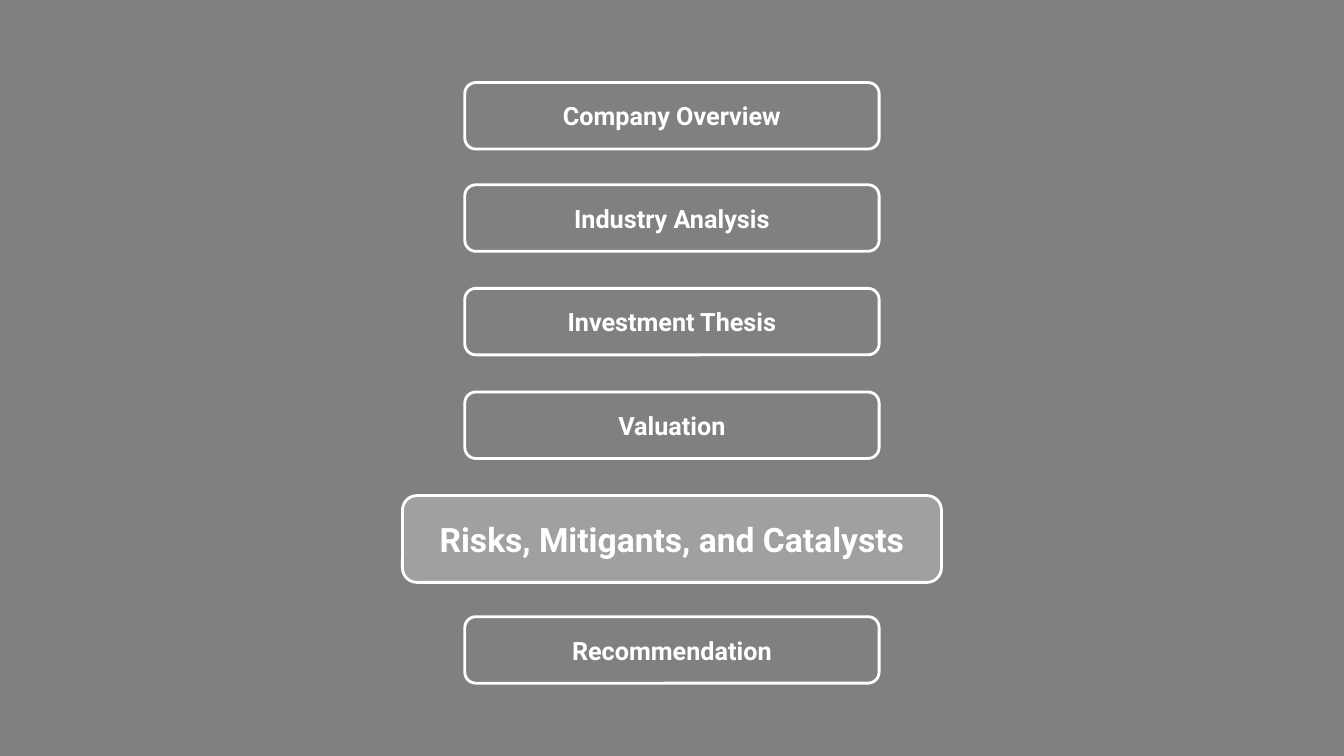
from lxml import etree
from pptx import Presentation
from pptx.dml.color import RGBColor
from pptx.enum.shapes import MSO_SHAPE as SHAPE
from pptx.enum.text import MSO_ANCHOR as ANCHOR, PP_ALIGN as ALIGN
from pptx.oxml.ns import qn
from pptx.util import Pt

COLORS = {"gray": "808080", "white": "FFFFFF"}
SLIDE_W, SLIDE_H = 960, 540

prs = Presentation()
prs.slide_width, prs.slide_height = Pt(SLIDE_W), Pt(SLIDE_H)
s = prs.slides.add_slide(prs.slide_layouts[6])


def write(sp, text, size=18, font="Roboto", color="white", bold=True):
    tf = sp.text_frame
    tf.word_wrap = True
    tf.vertical_anchor = ANCHOR.MIDDLE
    p = tf.paragraphs[0]
    p.alignment = ALIGN.CENTER
    r = p.add_run()
    r.text = text
    r.font.size = Pt(size)
    r.font.name = font
    r.font.bold = bold
    r.font.color.rgb = RGBColor.from_string(COLORS[color])


backdrop = s.shapes.add_shape(SHAPE.RECTANGLE, 0, 0, Pt(SLIDE_W), Pt(SLIDE_H))
backdrop.shadow.inherit = False
backdrop.fill.solid()
backdrop.fill.fore_color.rgb = RGBColor.from_string(COLORS["gray"])
backdrop.line.color.rgb = RGBColor.from_string(COLORS["gray"])
backdrop.line.width = Pt(1)

agenda = [
    ("Company Overview", 59),
    ("Industry Analysis", 132),
    ("Investment Thesis", 206),
    ("Valuation", 280),
    ("Risks, Mitigants, and Catalysts", 354),
    ("Recommendation", 440.5),
]
current = "Risks, Mitigants, and Catalysts"

for section, top in agenda:
    active = section == current
    width, height, size = (385, 62, 24) if active else (296, 47.5, 18)
    left = (SLIDE_W - width) / 2
    sp = s.shapes.add_shape(SHAPE.ROUNDED_RECTANGLE, Pt(left), Pt(top), Pt(width), Pt(height))
    sp.shadow.inherit = False
    sp.line.color.rgb = RGBColor.from_string(COLORS["white"])
    sp.line.width = Pt(2)
    if active:
        sp.fill.solid()
        sp.fill.fore_color.rgb = RGBColor.from_string(COLORS["white"])
        tint = sp.fill._xPr.find(qn("a:solidFill"))[0]
        etree.SubElement(tint, qn("a:alpha")).set("val", "26000")
    else:
        sp.fill.background()
    write(sp, section, size=size)

prs.save("out.pptx")
